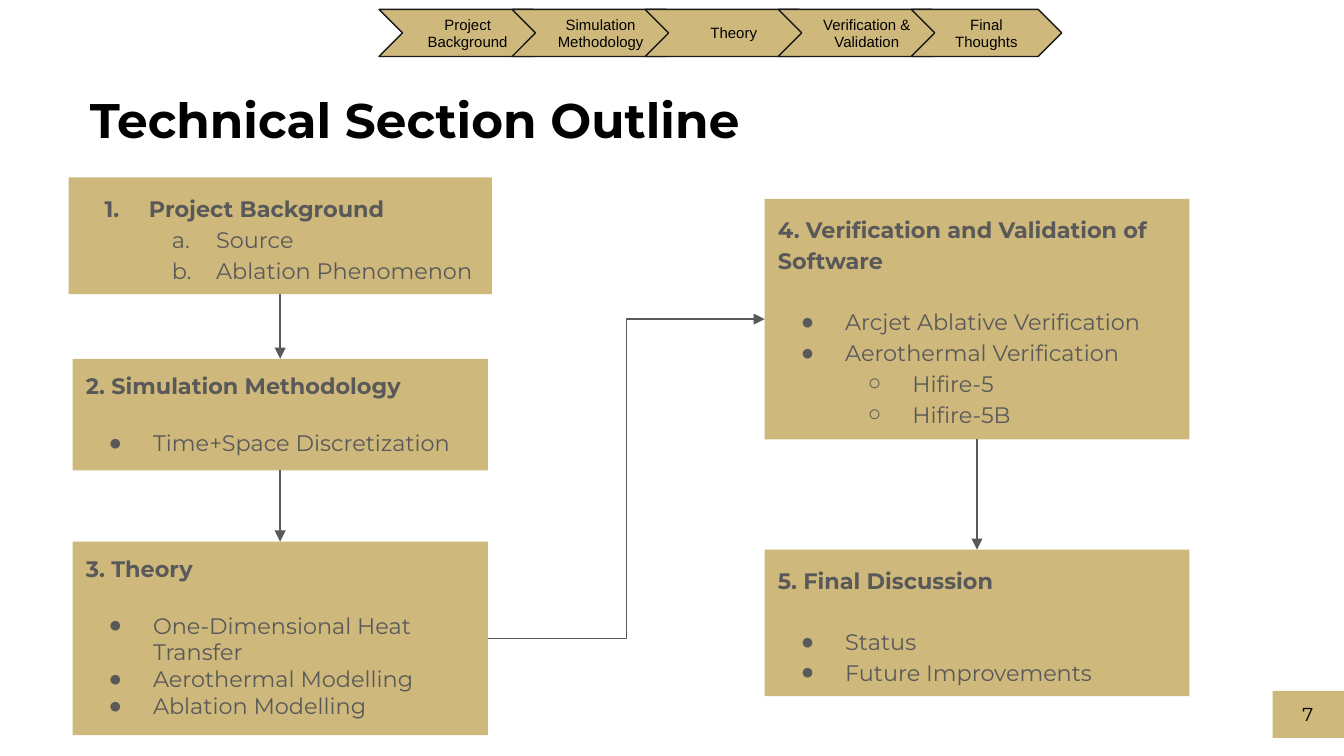
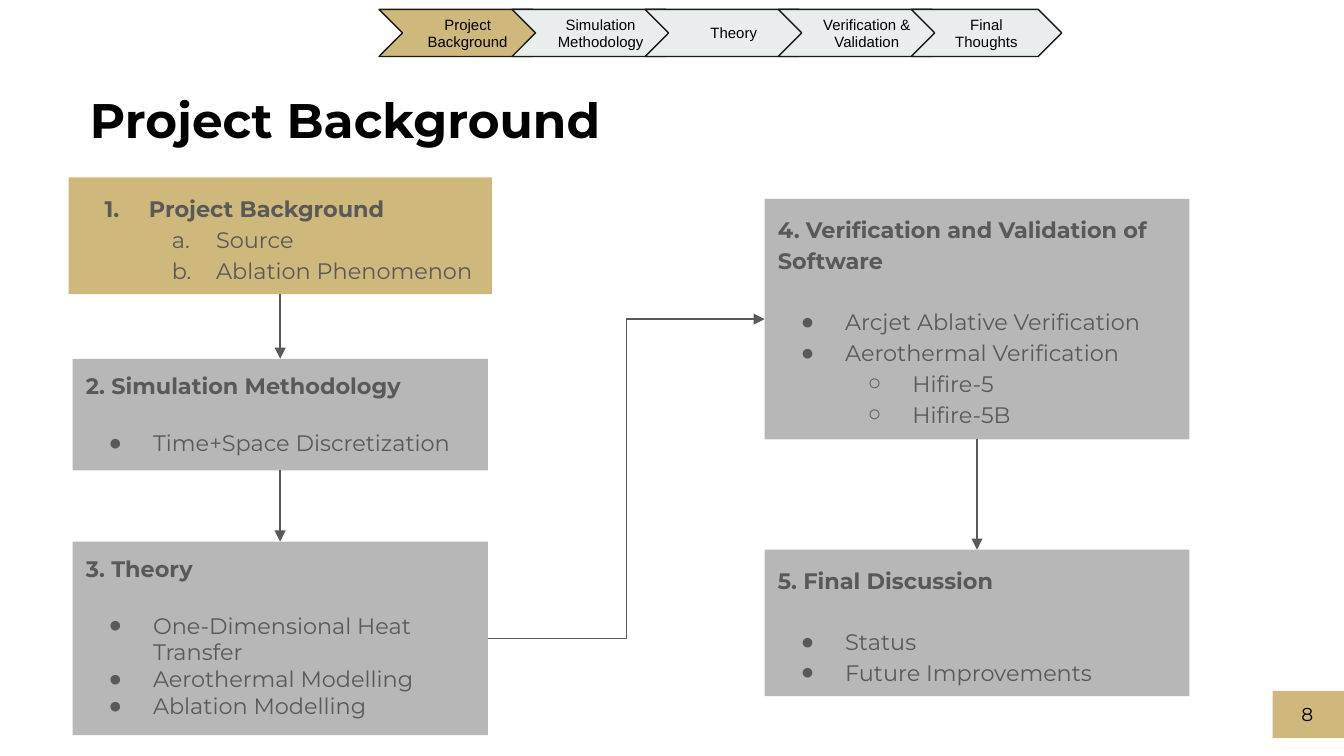
from lxml.etree import SubElement
from pptx import Presentation
from pptx.dml.color import RGBColor
from pptx.enum.shapes import MSO_CONNECTOR, MSO_SHAPE
from pptx.enum.text import MSO_ANCHOR, MSO_AUTO_SIZE, PP_ALIGN
from pptx.oxml.ns import qn
from pptx.util import Pt

EMU_PER_PX = 9144
BODY_FONT = "Montserrat"
STEP_FONT = "Arial"

GOLD = RGBColor(0xCE, 0xB8, 0x7B)
GRAY = RGBColor(0xB7, 0xB7, 0xB7)
PALE = RGBColor(0xE9, 0xED, 0xEE)
INK = RGBColor(0x59, 0x59, 0x59)
OUTLINE = RGBColor(0x1A, 0x1A, 0x1A)
BLACK = RGBColor(0, 0, 0)

STEPS = ["Project Background", "Simulation Methodology", "Theory",
         "Verification & Validation", "Final Thoughts"]
STEP_LEFT, STEP_PITCH = 282, 99
STEP_WIDTH, LAST_STEP_WIDTH = 132, 112

SECTIONS = [
    ((51, 132, 315, 87), 1.15, [
        ("Project Background", 1, "arabicPeriod"),
        ("Source", 2, "alphaLcPeriod"),
        ("Ablation Phenomenon", 2, "alphaLcPeriod")]),
    ((54, 267, 309, 83), 1.0, [
        ("2. Simulation Methodology", 0, None),
        ("Time+Space Discretization", 1, "●")]),
    ((54, 403, 309, 144), 1.0, [
        ("3. Theory", 0, None),
        ("One-Dimensional Heat Transfer", 1, "●"),
        ("Aerothermal Modelling", 1, "●"),
        ("Ablation Modelling", 1, "●")]),
    ((569, 148, 316, 179), 1.15, [
        ("4. Verification and Validation of Software", 0, None),
        ("Arcjet Ablative Verification", 1, "●"),
        ("Aerothermal Verification", 1, "●"),
        ("Hifire-5", 2, "○"),
        ("Hifire-5B", 2, "○")]),
    ((569, 409, 316, 109), 1.15, [
        ("5. Final Discussion", 0, None),
        ("Status", 1, "●"),
        ("Future Improvements", 1, "●")]),
]
TOP, LEFT, BOTTOM, RIGHT = range(4)
FLOW = [(0, BOTTOM, 1, TOP), (1, BOTTOM, 2, TOP),
        (2, RIGHT, 3, LEFT), (3, BOTTOM, 4, TOP)]


def px(length):
    return length * EMU_PER_PX


def style_font(paragraph, size, color, name=BODY_FONT, bold=False):
    font = paragraph.font
    font.name = name
    font.size = Pt(size)
    font.bold = bold
    font.color.rgb = color


def prepare_frame(shape, anchor):
    frame = shape.text_frame
    frame.word_wrap = True
    frame.vertical_anchor = anchor
    frame.margin_left = frame.margin_right = px(10)
    frame.margin_top = frame.margin_bottom = px(10)
    return frame


def add_label(slide, area, text, size, anchor, align, bold=False):
    label = slide.shapes.add_textbox(*map(px, area))
    paragraph = prepare_frame(label, anchor).paragraphs[0]
    paragraph.text = text
    paragraph.alignment = align
    style_font(paragraph, size, BLACK, bold=bold)


def add_block(slide, kind, area, fill, outline=None):
    block = slide.shapes.add_shape(kind, *map(px, area))
    block.shadow.inherit = False
    block.fill.solid()
    block.fill.fore_color.rgb = fill
    if outline is None:
        block.line.fill.background()
    else:
        block.line.color.rgb = outline
        block.line.width = Pt(0.75)
    return block


def add_marker(paragraph, level, marker):
    properties = paragraph._p.get_or_add_pPr()
    properties.set("marL", str(px(50 * level)))
    properties.set("indent", str(px(-33)))
    color = SubElement(properties, qn("a:buClr"))
    SubElement(color, qn("a:srgbClr"), val=str(INK))
    if marker.endswith("Period"):
        SubElement(properties, qn("a:buFont"), typeface=BODY_FONT)
        SubElement(properties, qn("a:buAutoNum"), type=marker)
    else:
        SubElement(properties, qn("a:buFont"), typeface=STEP_FONT)
        SubElement(properties, qn("a:buChar"), char=marker)


def add_section(slide, area, spacing, entries, fill):
    section = add_block(slide, MSO_SHAPE.RECTANGLE, area, fill)
    frame = prepare_frame(section, MSO_ANCHOR.TOP)
    frame.auto_size = MSO_AUTO_SIZE.SHAPE_TO_FIT_TEXT
    plain_heading = entries[0][2] is None
    for index, (text, level, marker) in enumerate(entries):
        entry = frame.paragraphs[0] if index == 0 else frame.add_paragraph()
        entry.text = text
        entry.alignment = PP_ALIGN.LEFT
        entry.level = max(level - 1, 0)
        entry.line_spacing = spacing
        if index == 1 and plain_heading:
            entry.space_before = Pt(16)
        if marker:
            add_marker(entry, level, marker)
        style_font(entry, 12, INK, bold=index == 0)
    return section


def add_arrow(slide, source, source_side, target, target_side):
    bent = source_side == RIGHT
    kind = MSO_CONNECTOR.ELBOW if bent else MSO_CONNECTOR.STRAIGHT
    arrow = slide.shapes.add_connector(kind, 0, 0, 0, 0)
    arrow.begin_connect(source, source_side)
    arrow.end_connect(target, target_side)
    arrow.line.color.rgb = INK
    arrow.line.width = Pt(0.75)
    SubElement(arrow.line._get_or_add_ln(), qn("a:tailEnd"), type="triangle")
    SubElement(arrow._element.spPr, qn("a:effectLst"))


def add_progress(slide, fills):
    for index, (name, fill) in enumerate(zip(STEPS, fills)):
        width = LAST_STEP_WIDTH if name == STEPS[-1] else STEP_WIDTH
        area = (STEP_LEFT + index * STEP_PITCH, 7, width, 35)
        step = add_block(slide, MSO_SHAPE.CHEVRON, area, fill, OUTLINE)
        paragraph = prepare_frame(step, MSO_ANCHOR.MIDDLE).paragraphs[0]
        paragraph.text = name
        paragraph.alignment = PP_ALIGN.CENTER
        style_font(paragraph, 8, BLACK, STEP_FONT)


def add_outline_slide(deck, title, number, active):
    slide = deck.slides.add_slide(deck.slide_layouts[6])
    add_block(slide, MSO_SHAPE.RECTANGLE, (947, 514, 53, 35), GOLD)
    add_label(slide, (57, 57, 886, 63), title, 26,
              MSO_ANCHOR.TOP, PP_ALIGN.LEFT, bold=True)
    add_label(slide, (927, 510, 60, 43), str(number), 10,
              MSO_ANCHOR.MIDDLE, PP_ALIGN.RIGHT)
    add_progress(slide, [GOLD if i in active else PALE
                         for i in range(len(STEPS))])
    sections = [add_section(slide, *section, GOLD if i in active else GRAY)
                for i, section in enumerate(SECTIONS)]
    for source, source_side, target, target_side in FLOW:
        add_arrow(slide, sections[source], source_side,
                  sections[target], target_side)


def main():
    deck = Presentation()
    deck.slide_width = px(1000)
    deck.slide_height = deck.slide_width * 9 // 16
    add_outline_slide(deck, "Technical Section Outline", 7, range(len(STEPS)))
    add_outline_slide(deck, "Project Background", 8, [0])
    deck.save("out.pptx")


if __name__ == "__main__":
    main()
